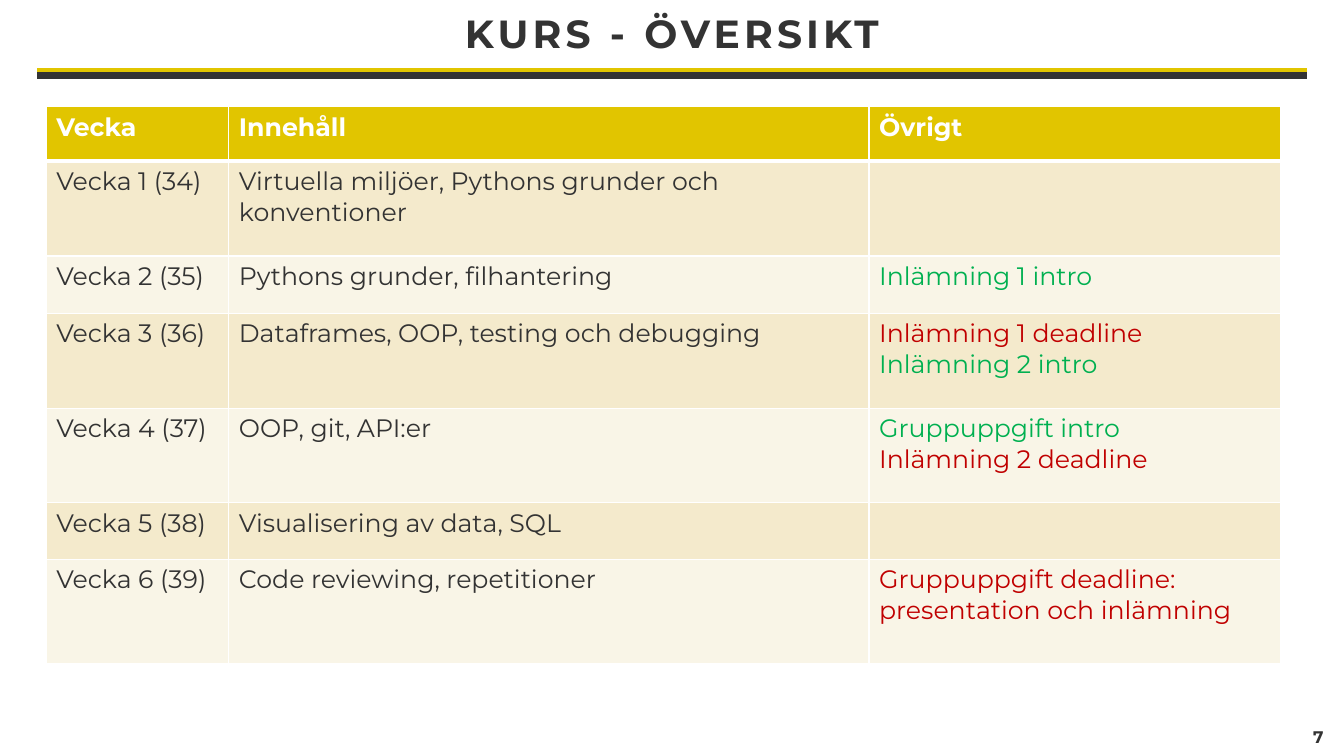
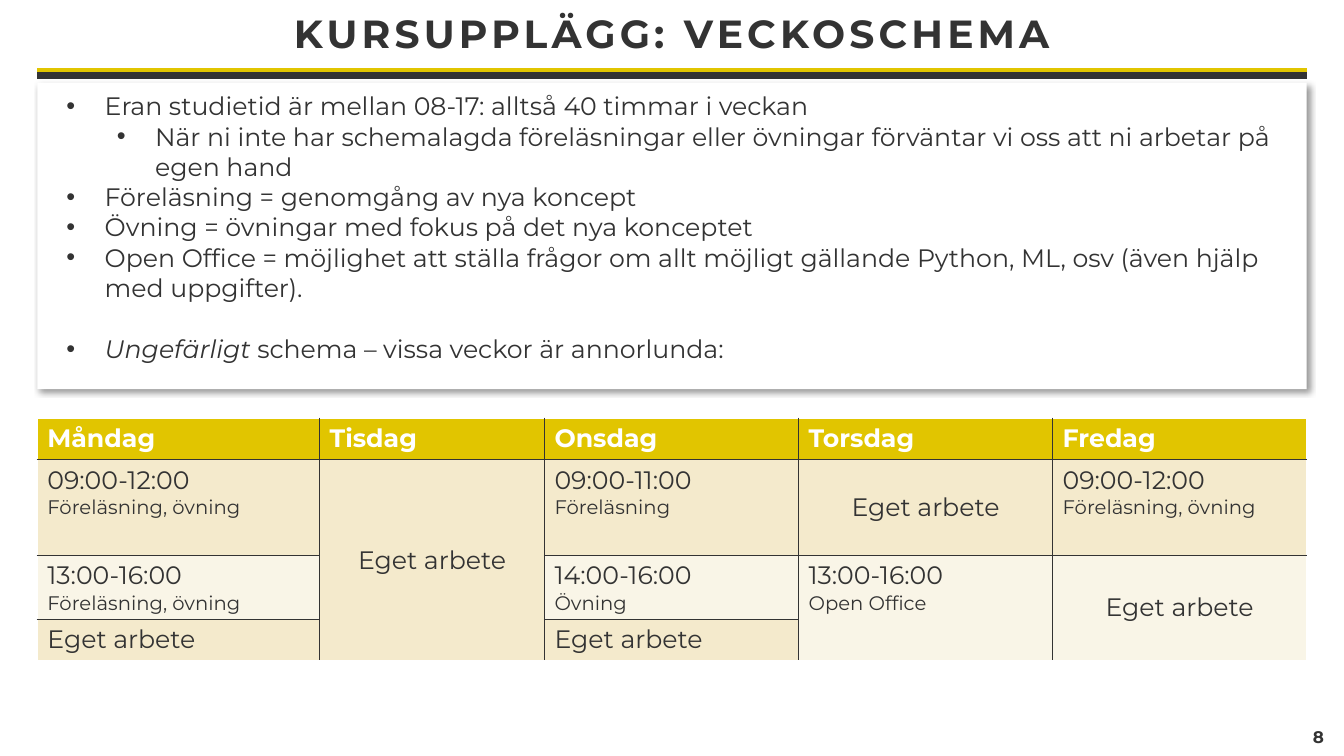
from lxml.etree import SubElement
from pptx import Presentation
from pptx.dml.color import RGBColor
from pptx.enum.shapes import MSO_CONNECTOR, MSO_SHAPE
from pptx.enum.text import MSO_ANCHOR, PP_ALIGN
from pptx.oxml import parse_xml
from pptx.oxml.ns import nsdecls, qn
from pptx.util import Inches, Pt

FONT = "Montserrat"
DARK, GOLD, WHITE = "333333", "E1C500", "FFFFFF"
BANDS = ("F4EACC", "F9F5E7")
GREEN, RED = "00B050", "C00000"
SLIDE_WIDTH, SLIDE_HEIGHT = 13.33, 7.5
LEFT, CONTENT_WIDTH = 0.37, 12.59

OVERVIEW = [
    ["Vecka", "Innehåll", "Övrigt"],
    ["Vecka 1 (34)", "Virtuella miljöer, Pythons grunder och konventioner", ""],
    ["Vecka 2 (35)", "Pythons grunder, filhantering", "Inlämning 1 intro"],
    ["Vecka 3 (36)", "Dataframes, OOP, testing och debugging",
     "Inlämning 1 deadline\nInlämning 2 intro"],
    ["Vecka 4 (37)", "OOP, git, API:er", "Gruppuppgift intro\nInlämning 2 deadline"],
    ["Vecka 5 (38)", "Visualisering av data, SQL", ""],
    ["Vecka 6 (39)", "Code reviewing, repetitioner",
     "Gruppuppgift deadline: presentation och inlämning"],
]

OWN_WORK = "Eget arbete"
SCHEDULE = [
    ["Måndag", "Tisdag", "Onsdag", "Torsdag", "Fredag"],
    ["09:00-12:00\nFöreläsning, övning", OWN_WORK, "09:00-11:00\nFöreläsning",
     OWN_WORK, "09:00-12:00\nFöreläsning, övning"],
    ["13:00-16:00\nFöreläsning, övning", "", "14:00-16:00\nÖvning",
     "13:00-16:00\nOpen Office", OWN_WORK],
    [OWN_WORK, "", OWN_WORK, "", ""],
]
# (first row, last row, column)
SCHEDULE_MERGES = [(1, 3, 1), (2, 3, 3), (2, 3, 4)]
SCHEDULE_CENTRED = [(1, 1), (1, 3), (2, 4)]

# (level, text)
STUDY_NOTES = [
    (0, "Eran studietid är mellan 08-17: alltså 40 timmar i veckan"),
    (1, "När ni inte har schemalagda föreläsningar eller övningar förväntar vi oss "
        "att ni arbetar på egen hand"),
    (0, "Föreläsning = genomgång av nya koncept"),
    (0, "Övning = övningar med fokus på det nya konceptet"),
    (0, "Open Office = möjlighet att ställa frågor om allt möjligt gällande Python, "
        "ML, osv (även hjälp med uppgifter)."),
    (0, "Ungefärligt"),
]
SCHEDULE_NOTE_REST = " schema – vissa veckor är annorlunda:"


def rgb(value):
    return RGBColor.from_string(value)


def format_runs(paragraph, size, color=DARK, bold=False):
    for run in paragraph.runs:
        run.font.name = FONT
        run.font.size = Pt(size)
        run.font.bold = bold
        run.font.color.rgb = rgb(color)


def add_label(slide, text, left, top, width, height, size):
    """Add a bold, centred line of text and return its paragraph."""
    label = slide.shapes.add_textbox(
        Inches(left), Inches(top), Inches(width), Inches(height))
    frame = label.text_frame
    frame.word_wrap = True
    frame.vertical_anchor = MSO_ANCHOR.MIDDLE
    frame.text = text
    paragraph = frame.paragraphs[0]
    paragraph.alignment = PP_ALIGN.CENTER
    format_runs(paragraph, size, bold=True)
    return paragraph


def add_rule(slide, top, color):
    rule = slide.shapes.add_connector(
        MSO_CONNECTOR.STRAIGHT, Inches(LEFT), Inches(top),
        Inches(LEFT + CONTENT_WIDTH), Inches(top))
    rule.line.color.rgb = rgb(color)
    rule.line.width = Pt(4.5)
    SubElement(rule._element.spPr, qn("a:effectLst"))


def add_course_slide(prs, title, number):
    """Add a slide with the shared title, double rule and page number."""
    slide = prs.slides.add_slide(prs.slide_layouts[6])
    heading = add_label(slide, title, 0, 0, SLIDE_WIDTH, 0.71, 28)
    heading.line_spacing = 0.9
    heading.runs[0].font._element.set("spc", "300")
    add_label(slide, str(number), 12.82, 7.11, 0.51, 0.39, 12)
    add_rule(slide, 0.71, GOLD)
    add_rule(slide, 0.75, DARK)
    return slide


def set_borders(cell, borders):
    """Draw borders given as {side: (colour, points)}, sides in the order L, R, T, B."""
    properties = cell._tc.get_or_add_tcPr()
    for side, (color, width) in borders.items():
        properties.append(parse_xml(
            f'<a:ln{side} {nsdecls("a")} w="{Pt(width)}"><a:solidFill>'
            f'<a:srgbClr val="{color}"/></a:solidFill></a:ln{side}>'))


def add_banded_table(slide, rows, left, top, widths, heights, merges=()):
    """Add a table with a gold header and alternating bands, without text format."""
    table = slide.shapes.add_table(
        len(rows), len(widths), Inches(left), Inches(top),
        Inches(sum(widths)), Inches(sum(heights))).table
    table.horz_banding = False
    for column, width in zip(table.columns, widths):
        column.width = Inches(width)
    for row, height in zip(table.rows, heights):
        row.height = Inches(height)
    for first, last, column in merges:
        table.cell(first, column).merge(table.cell(last, column))
    for r, texts in enumerate(rows):
        for c, text in enumerate(texts):
            if text:
                table.cell(r, c).text_frame.text = text
    return table


def fill_bands(table):
    """Fill cells by row; a merged cell keeps the band of its first row."""
    bands = {}
    for r, row in enumerate(table.rows):
        for c, cell in enumerate(row.cells):
            if not cell.is_spanned:
                bands[c] = BANDS[(r - 1) % 2] if r else GOLD
            cell.fill.solid()
            cell.fill.fore_color.rgb = rgb(bands[c])


def deadline_color(text):
    if "deadline" in text:
        return RED
    return GREEN if "intro" in text else DARK


def add_overview(slide):
    table = add_banded_table(
        slide, OVERVIEW, 0.46, 1.06, [1.81, 6.35, 4.08],
        [0.54, 0.94, 0.57, 0.94, 0.94, 0.56, 1.04])
    for r, row in enumerate(table.rows):
        for cell in row.cells:
            set_borders(cell, {
                "L": (WHITE, 1), "R": (WHITE, 1),
                "T": (WHITE, 3 if r == 1 else 1), "B": (WHITE, 3 if r == 0 else 1)})
            for paragraph in cell.text_frame.paragraphs:
                color = deadline_color(paragraph.text) if r else WHITE
                format_runs(paragraph, 18, color, bold=r == 0)
    fill_bands(table)


def add_schedule(slide):
    table = add_banded_table(
        slide, SCHEDULE, LEFT, 4.15, [2.8, 2.23, 2.52, 2.52, 2.52],
        [0.41, 0.95, 0.63, 0.41], SCHEDULE_MERGES)
    last_row, last_column = len(table.rows) - 1, len(table.columns) - 1
    for r, row in enumerate(table.rows):
        for c, cell in enumerate(row.cells):
            bottom_row = r + cell.span_height - 1
            borders = {"L": (DARK if c else WHITE, 1),
                       "R": (DARK if c < last_column else WHITE, 1)}
            if not cell.is_spanned:
                borders["T"] = (DARK if r else WHITE, 1)
                borders["B"] = (DARK if bottom_row < last_row else WHITE, 1)
            set_borders(cell, borders)
            for line, paragraph in enumerate(cell.text_frame.paragraphs):
                format_runs(paragraph, 14 if line else 18,
                            DARK if r else WHITE, bold=r == 0)
    for r, c in SCHEDULE_CENTRED:
        cell = table.cell(r, c)
        cell.vertical_anchor = MSO_ANCHOR.MIDDLE
        cell.text_frame.paragraphs[0].alignment = PP_ALIGN.CENTER
    fill_bands(table)


def add_bullet(paragraph, level):
    paragraph.level = level
    properties = paragraph._p.get_or_add_pPr()
    properties.set("marL", str(Inches(0.57 + 0.5 * level)))
    properties.set("indent", str(Inches(-0.38)))
    SubElement(properties, qn("a:buFont")).set("typeface", "Arial")
    SubElement(properties, qn("a:buChar")).set("char", "•")


def add_card(slide, top, height):
    """Add a white panel with a soft shadow and return its text frame."""
    card = slide.shapes.add_shape(
        MSO_SHAPE.RECTANGLE, Inches(LEFT), Inches(top),
        Inches(CONTENT_WIDTH), Inches(height))
    card.fill.solid()
    card.fill.fore_color.rgb = rgb(WHITE)
    card.line.fill.background()
    card.shadow.inherit = False
    effects = card._element.spPr.find(qn("a:effectLst"))
    effects.append(parse_xml(
        f'<a:outerShdw {nsdecls("a")} blurRad="{Pt(4)}" dist="{Pt(3)}" '
        f'dir="2700000" algn="tl" rotWithShape="0"><a:srgbClr val="000000">'
        f'<a:alpha val="40000"/></a:srgbClr></a:outerShdw>'))
    frame = card.text_frame
    frame.word_wrap = True
    frame.vertical_anchor = MSO_ANCHOR.TOP
    frame.margin_left = frame.margin_right = Inches(0.1)
    frame.margin_top, frame.margin_bottom = Inches(0.08), Inches(0.24)
    return frame


def add_study_notes(slide):
    frame = add_card(slide, 0.82, 3.04)
    frame.text = "\n".join(text for _, text in STUDY_NOTES)
    schedule_note = frame.paragraphs[-1]
    schedule_note.space_before = Pt(22)
    schedule_note.runs[0].font.italic = True
    schedule_note.add_run().text = SCHEDULE_NOTE_REST
    for paragraph, (level, _) in zip(frame.paragraphs, STUDY_NOTES):
        paragraph.alignment = PP_ALIGN.LEFT
        add_bullet(paragraph, level)
        format_runs(paragraph, 18)


def main():
    prs = Presentation()
    prs.slide_width, prs.slide_height = Inches(SLIDE_WIDTH), Inches(SLIDE_HEIGHT)
    add_overview(add_course_slide(prs, "KURS - ÖVERSIKT", 7))
    week = add_course_slide(prs, "KURSUPPLÄGG: VECKOSCHEMA", 8)
    add_schedule(week)
    add_study_notes(week)
    prs.save("out.pptx")


if __name__ == "__main__":
    main()
